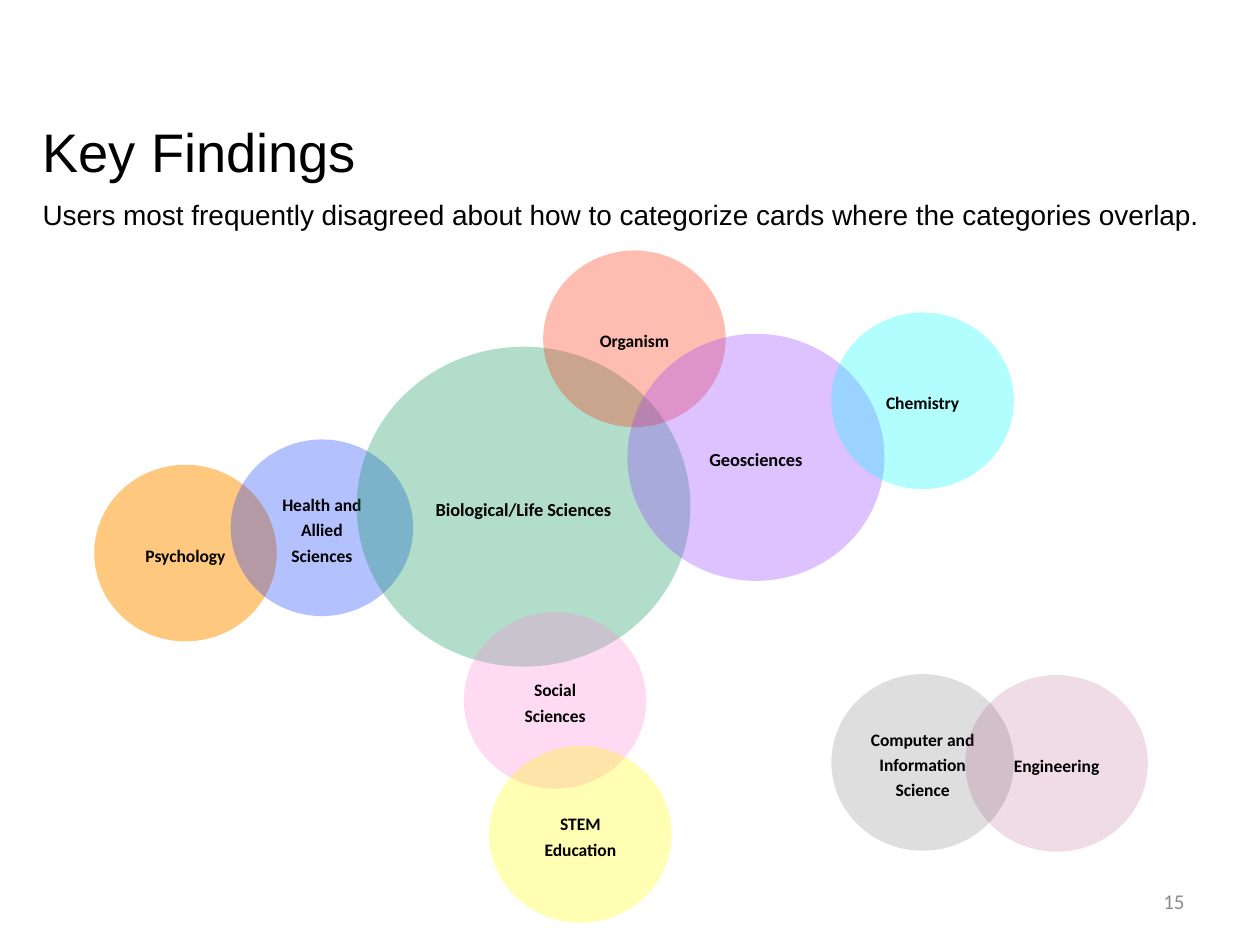
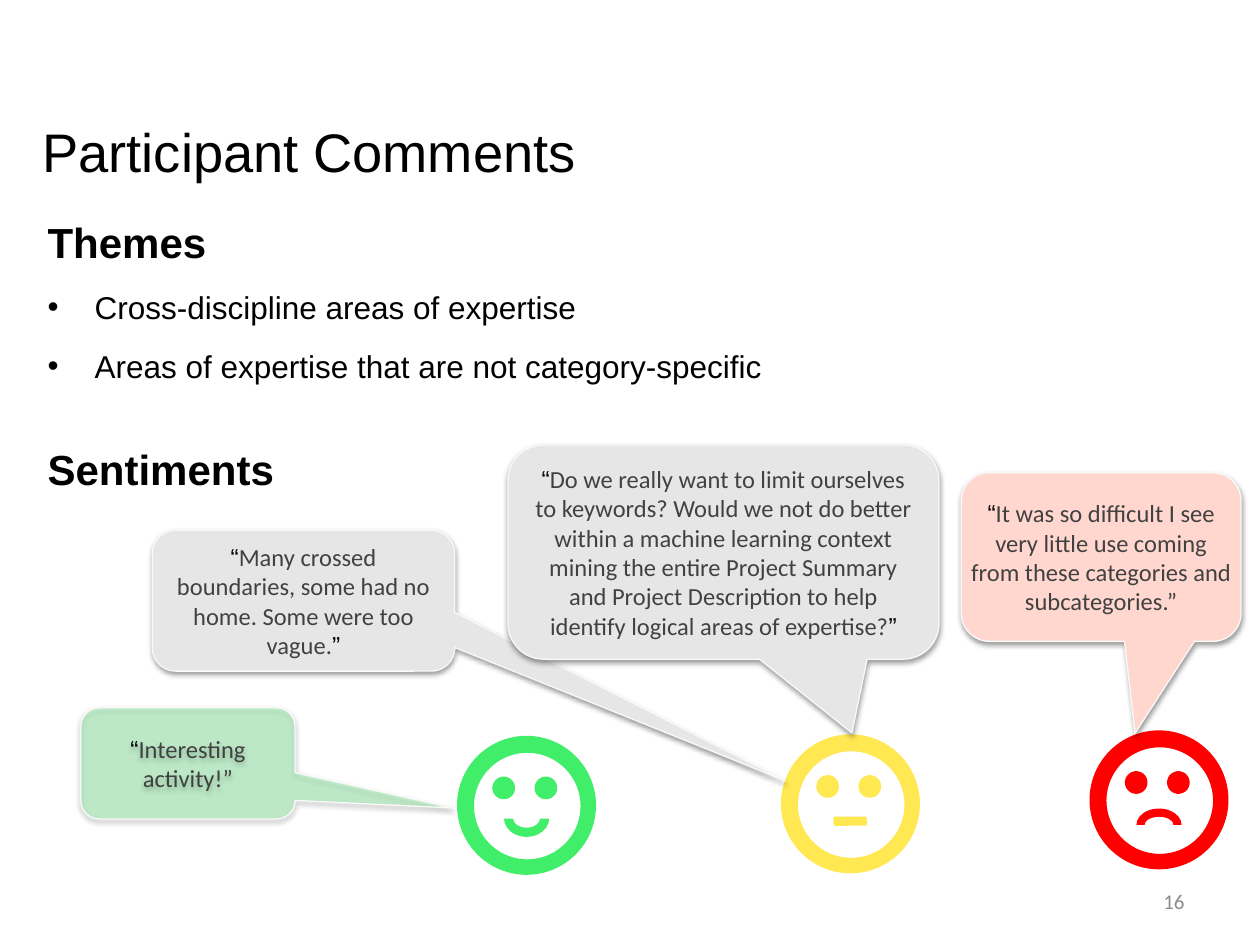
import pptx
import pptx.util
import pptx.dml.color
import pptx.enum.shapes
import pptx.enum.text
import pptx.oxml.ns
import lxml.etree

Cm = pptx.util.Cm
Pt = pptx.util.Pt
KIND = pptx.enum.shapes.MSO_SHAPE
ALIGN = pptx.enum.text.PP_ALIGN
ANCHOR = pptx.enum.text.MSO_ANCHOR
qn = pptx.oxml.ns.qn

BLACK, WHITE, GREY = "000000", "FFFFFF", "8C8C8C"
GREEN, YELLOW, RED = "41EE6A", "FFE851", "FF0000"
INK, PALE, EDGE = "414141", "E7E6E6", "F9F9F9"
INSET = (0.25, 0.13, 0.25, 0.13)
SNUG = (0.25, 0, 0.25, 0.13)

CLAIM = "Users most frequently disagreed about how to categorize cards where the categories overlap."
SMALL, MID, LARGE = (3.68, 3.56), (5.18, 4.98), (6.73, 6.45)
FIELDS = [
    ("Psychology", 1.9, 9.37, SMALL, "FF9300", 50),
    ("Health and Allied Sciences", 4.65, 8.86, SMALL, "0432FF", 30),
    ("Biological/Life Sciences", 7.19, 6.99, LARGE, "009051", 30),
    ("Social Sciences", 9.35, 12.34, SMALL, "FF8AD8", 30),
    ("STEM Education", 9.86, 15.04, SMALL, "FFFC00", 30),
    ("Organism", 10.95, 5.05, SMALL, "FF2600", 30),
    ("Geosciences", 12.65, 6.73, MID, "9437FF", 30),
    ("Chemistry", 16.76, 6.3, SMALL, "00FDFF", 30),
    ("Computer and Information Science", 16.76, 13.59, SMALL, "929292", 30),
    ("Engineering", 19.46, 13.61, SMALL, "941651", 15),
]

THEMES = ["Cross-discipline areas of expertise",
          "Areas of expertise that are not category-specific"]
FACES = [
    (22.07, 14.83, RED, "sad"),
    (15.85, 14.91, YELLOW, "flat"),
    (9.32, 14.94, GREEN, "glad"),
]
MOUTHS = {
    "sad": (KIND.BLOCK_ARC, (0.84, 1.47, 0.91, 0.66), 0, 0),
    "flat": (KIND.ROUNDED_RECTANGLE, (0.97, 1.57, 0.64, 0.15), 0, 1),
    "glad": (KIND.BLOCK_ARC, (0.84, 1.19, 0.91, 0.74), 180, 0),
}
QUOTES = [
    ("Interesting activity!”", "", (1.63, 14.27, 4.32, 2.24),
     (1.237, 0.401), GREEN, 25, INSET),
    ("It was so difficult I see very little use coming from these categories "
     "and subcategories.”", "", (19.38, 9.53, 5.64, 3.4),
     (0.121, 1.045), "FFD7CF", 100, (0, 0.13, 0, 0.13)),
    ("Many crossed boundaries, some had no home. Some were too vague.", "”",
     (3.07, 10.69, 6.1, 2.84), (1.592, 1.278), PALE, 100, INSET),
    ("Do we really want to limit ourselves to keywords? Would we not do better "
     "within a machine learning context mining the entire Project Summary and "
     "Project Description to help identify logical areas of expertise?", "”",
     (10.24, 8.97, 8.69, 4.32), (0.298, 0.844), PALE, 100, INSET),
]


def tint(code):
    return pptx.dml.color.RGBColor.from_string(code)


def style(run, size, face="Arial", color=BLACK, bold=False):
    run.font.size = Pt(size)
    run.font.name = face
    run.font.bold = bold
    run.font.color.rgb = tint(color)


def set_frame(frame, inset=INSET, anchor=ANCHOR.TOP):
    frame.word_wrap = True
    frame.vertical_anchor = anchor
    (frame.margin_left, frame.margin_top,
     frame.margin_right, frame.margin_bottom) = map(Cm, inset)


def add_text(slide, box, lines, size, inset=INSET, anchor=ANCHOR.TOP, **look):
    frame = slide.shapes.add_textbox(*map(Cm, box)).text_frame
    set_frame(frame, inset, anchor)
    frame.text = "\n".join(lines)
    for para in frame.paragraphs:
        style(para.runs[0], size, **look)
    return frame


def add_form(slide, kind, box, fill, alpha=100, line=None, width=0):
    form = slide.shapes.add_shape(kind, *map(Cm, box))
    form.shadow.inherit = False
    form.fill.solid()
    form.fill.fore_color.rgb = tint(fill)
    if alpha < 100:
        color = form._element.spPr.find(qn("a:solidFill"))[0]
        lxml.etree.SubElement(color, qn("a:alpha"), val=str(alpha * 1000))
    if width:
        form.line.color.rgb = tint(line or fill)
        form.line.width = Pt(width)
    else:
        form.line.fill.background()
    return form


def add_page(deck, title, number):
    slide = deck.slides.add_slide(deck.slide_layouts[6])
    foot = add_text(slide, (18.21, 17.65, 5.92, 1.02), [str(number)], 12,
                    anchor=ANCHOR.MIDDLE, face="Calibri", color=GREY)
    foot.paragraphs[0].alignment = ALIGN.RIGHT
    add_text(slide, (0.61, 2.39, 22.89, 1.75), [title], 31, SNUG)
    return slide


def add_field(slide, name, left, top, size, fill, alpha):
    form = add_form(slide, KIND.OVAL, (left, top, *size), fill, alpha)
    set_frame(form.text_frame, anchor=ANCHOR.MIDDLE)
    form.text_frame.text = name
    para = form.text_frame.paragraphs[0]
    para.alignment = ALIGN.CENTER
    para.line_spacing = 1.2
    para.space_before, para.space_after = Pt(2), Pt(2.5)
    style(para.runs[0], 10 if size == SMALL else 10.5, "Calibri", bold=True)


def add_face(slide, left, top, color, mood):
    rounds = [(0, 0, 2.59, color), (0.13, 0.13, 2.36, WHITE),
              (0.71, 0.82, 0.25, color), (1.56, 0.82, 0.25, color)]
    for x, y, side, fill in rounds:
        add_form(slide, KIND.OVAL, (left + x, top + y, side, side),
                 fill, line=color, width=6)
    kind, (x, y, wide, high), turn, width = MOUTHS[mood]
    mouth = add_form(slide, kind, (left + x, top + y, wide, high),
                     color, width=width)
    mouth.rotation = turn


def add_quote(slide, body, close, box, tip, fill, alpha, inset):
    form = add_form(slide, KIND.ROUNDED_RECTANGULAR_CALLOUT, box, fill, alpha,
                    EDGE, 0.75)
    form.adjustments[0], form.adjustments[1] = tip
    effect = form._element.spPr.find(qn("a:effectLst"))
    shade = lxml.etree.SubElement(
        effect, qn("a:outerShdw"), blurRad=str(Pt(3.1)), dist=str(Pt(1.6)),
        dir="5400000", rotWithShape="0")
    color = lxml.etree.SubElement(shade, qn("a:srgbClr"), val=BLACK)
    lxml.etree.SubElement(color, qn("a:alpha"), val="38000")
    set_frame(form.text_frame, inset, ANCHOR.MIDDLE)
    para = form.text_frame.paragraphs[0]
    para.alignment = ALIGN.CENTER
    for text, face, ink in (("“", "Arial", BLACK), (body, "Calibri", INK),
                            (close, "Arial", BLACK)):
        if text:
            run = para.add_run()
            run.text = text
            style(run, 14, face, ink)


def add_themes(slide):
    frame = add_text(slide, (0.71, 4.37, 22.89, 1.75), ["Themes", *THEMES],
                     18, SNUG)
    head, *items = frame.paragraphs
    style(head.runs[0], 24, bold=True)
    for para in items:
        para.space_before = Pt(12)
        props = para._p.get_or_add_pPr()
        props.set("marL", str(Cm(0.95)))
        props.set("indent", str(-Cm(0.95)))
        lxml.etree.SubElement(props, qn("a:buFont"), typeface="Arial")
        lxml.etree.SubElement(props, qn("a:buChar"), char="•")


def main():
    deck = pptx.Presentation()
    deck.slide_width, deck.slide_height = Cm(25.4), Cm(19.05)

    slide = add_page(deck, "Key Findings", 15)
    add_text(slide, (0.61, 3.86, 24.16, 0.94), [CLAIM], 16)
    for field in FIELDS:
        add_field(slide, *field)

    slide = add_page(deck, "Participant Comments", 16)
    add_themes(slide)
    add_text(slide, (0.71, 8.94, 22.89, 1.75), ["Sentiments"], 24, SNUG,
             bold=True)
    for face in FACES:
        add_face(slide, *face)
    for quote in QUOTES:
        add_quote(slide, *quote)

    deck.save("out.pptx")


if __name__ == "__main__":
    main()
